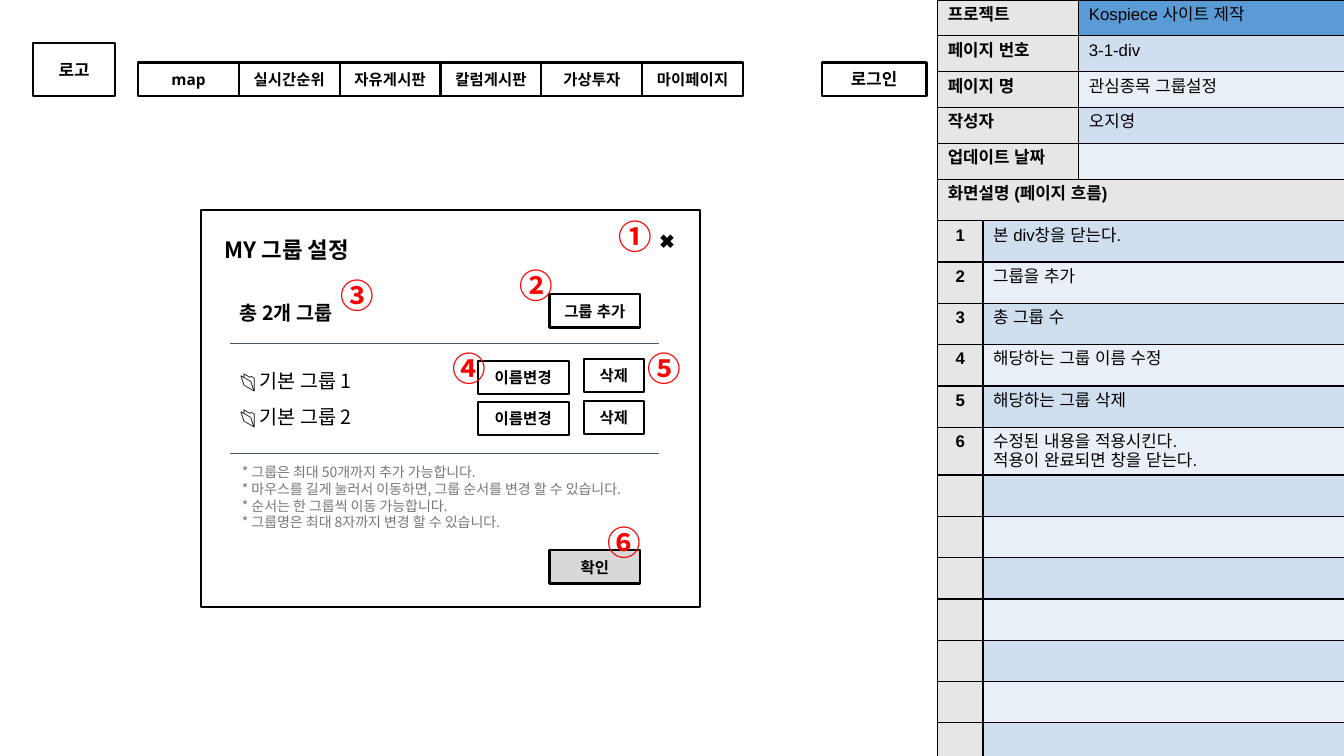
from lxml.etree import SubElement
from pptx import Presentation
from pptx.dml.color import RGBColor
from pptx.enum.shapes import MSO_CONNECTOR, MSO_SHAPE
from pptx.enum.text import MSO_ANCHOR, PP_ALIGN
from pptx.oxml.ns import qn
from pptx.util import Pt

SCALE = 9144
BLACK = RGBColor(0x00, 0x00, 0x00)
WHITE = RGBColor(0xFF, 0xFF, 0xFF)
RED = RGBColor(0xFF, 0x00, 0x00)
GRAY = RGBColor(0x77, 0x77, 0x77)
SILVER = RGBColor(0xD8, 0xD8, 0xD8)
LABEL = RGBColor(0xE7, 0xE6, 0xE6)
SLATE = RGBColor(0x44, 0x54, 0x6A)
BLUE = RGBColor(0x5B, 0x9B, 0xD5)
PALE = RGBColor(0xE9, 0xEF, 0xF7)
LIGHT = RGBColor(0xD0, 0xDE, 0xEF)
NOTO = "Noto Sans CJK KR"
SANS = "Open Sans"
ARIAL = "Arial"

MENU = ["map", "실시간순위", "자유게시판", "칼럼게시판", "가상투자", "마이페이지"]
INFO = [
    ("프로젝트", "Kospiece 사이트 제작"),
    ("페이지 번호", "3-1-div"),
    ("페이지 명", "관심종목 그룹설정"),
    ("작성자", "오지영"),
    ("업데이트 날짜", ""),
]
FLOW = [
    "본 div창을 닫는다.",
    "그룹을 추가",
    "총 그룹 수",
    "해당하는 그룹 이름 수정",
    "해당하는 그룹 삭제",
    "수정된 내용을 적용시킨다.\n적용이 완료되면 창을 닫는다.",
]
BLANKS = 7
RULES = [
    "* 그룹은 최대 50개까지 추가 가능합니다.",
    "* 마우스를 길게 눌러서 이동하면, 그룹 순서를 변경 할 수 있습니다.",
    "* 순서는 한 그룹씩 이동 가능합니다.",
    "* 그룹명은 최대 8자까지 변경 할 수 있습니다.",
]
MARKS = [
    ("①", 405, 1, 60), ("②", 306, 50, 52), ("③", 129, 60, 48),
    ("④", 240, 132, 49), ("⑤", 433, 132, 49), ("⑥", 394, 305, 49),
]


def px(*sizes):
    return [size * SCALE for size in sizes]


def style(frame, size, face, color=BLACK, bold=False, align=PP_ALIGN.LEFT):
    for para in frame.paragraphs:
        para.alignment = align
        for run in para.runs:
            font = run.font
            font.size, font.name, font.bold = Pt(size), face, bold
            font.color.rgb = color
            SubElement(font._element, qn("a:ea"), typeface=face)


def pad(frame, side, top):
    frame.margin_left = frame.margin_right = side * SCALE
    frame.margin_top = frame.margin_bottom = top * SCALE


def note(slide, box, text, size, color=BLACK, bold=False, top=10):
    frame = slide.shapes.add_textbox(*px(*box)).text_frame
    frame.word_wrap = True
    pad(frame, 10, top)
    frame.text = text
    style(frame, size, NOTO, color, bold)
    return frame


def button(slide, box, text="", size=11, fill=None):
    shape = slide.shapes.add_shape(MSO_SHAPE.RECTANGLE, *px(*box))
    shape.shadow.inherit = False
    if fill is None:
        shape.fill.background()
    else:
        shape.fill.solid()
        shape.fill.fore_color.rgb = fill
    shape.line.color.rgb = BLACK
    shape.line.width = Pt(1.5)
    if text:
        frame = shape.text_frame
        pad(frame, 10, 10)
        frame.vertical_anchor = MSO_ANCHOR.MIDDLE
        frame.text = text
        style(frame, size, SANS, bold=True, align=PP_ALIGN.CENTER)


def rule(slide, x, y, width):
    line = slide.shapes.add_connector(
        MSO_CONNECTOR.STRAIGHT, *px(x, y, x + width, y))
    line.line.color.rgb = SLATE
    line.line.width = Pt(0.75)
    SubElement(line._element.spPr, qn("a:effectLst"))


def paint(cell, text, fill, bold=False, align=PP_ALIGN.LEFT):
    props = cell._tc.get_or_add_tcPr()
    for side in ("lnL", "lnR", "lnT", "lnB"):
        edge = SubElement(props, qn(f"a:{side}"), w=str(Pt(1)))
        solid = SubElement(edge, qn("a:solidFill"))
        SubElement(solid, qn("a:srgbClr"), val=str(BLACK))
    cell.fill.solid()
    cell.fill.fore_color.rgb = fill
    pad(cell, 10, 5)
    frame = cell.text_frame
    if text:
        frame.text = text
        style(frame, 12, ARIAL, BLACK, bold, align)
    else:
        end = frame.paragraphs[0]._p.get_or_add_endParaRPr()
        end.set("sz", str(1200))


def grid(slide, x, y, cols, count, high):
    shape = slide.shapes.add_table(
        count, len(cols), *px(x, y, sum(cols), count * high))
    table = shape.table
    table.first_row = table.horz_banding = False
    for col, width in zip(table.columns, cols):
        col.width = width * SCALE
    return table


def header(slide, x, y):
    button(slide, (x, y, 81, 52), "로고", 12)
    for i, name in enumerate(MENU):
        button(slide, (x + 104 + 100 * i, y + 19, 100, 33), name)
    button(slide, (x + 782, y + 19, 104, 33), "로그인", 12)


def panel(slide, x, y):
    button(slide, (x, y, 495, 394), fill=WHITE)
    note(slide, (x + 14, y + 16, 168, 60), "MY 그룹 설정", 16, bold=True)
    note(slide, (x + 445, y + 9, 49, 43), "✖", 14)
    note(slide, (x + 29, y + 81, 159, 33), "총 2개 그룹", 14, bold=True)
    button(slide, (x + 346, y + 84, 90, 33), "그룹 추가")
    for i in range(2):
        note(slide, (x + 29, y + 148 + 36 * i, 159, 35),
             f"📂 기본 그룹 {i + 1}", 14)
        button(slide, (x + 275, y + 150 + 41 * i, 90, 33), "이름변경")
        button(slide, (x + 380, y + 148 + 42 * i, 60, 33), "삭제")
    for top in (133, 242):
        rule(slide, x + 29, y + top, 426)
    frame = note(slide, (x + 31, y + 242, 451, 107),
                 "\n".join(RULES), 10, GRAY)
    for para in frame.paragraphs:
        para.line_spacing = Pt(12)
    button(slide, (x + 346, y + 338, 90, 33), "확인", fill=SILVER)
    for mark, left, top, width in MARKS:
        note(slide, (x + left, y + top, width, 50), mark, 24, RED, True, 5)


def info(slide, x, y):
    table = grid(slide, x, y, (140, 264), len(INFO), 36)
    for i, (name, value) in enumerate(INFO):
        table.rows[i].height = 35 * SCALE + SCALE * 6 // 10
        paint(table.cell(i, 0), name, LABEL, True)
        shade = BLUE if i == 0 else LIGHT if i % 2 else PALE
        paint(table.cell(i, 1), value, shade)


def flow(slide, x, y):
    count = len(FLOW) + BLANKS
    table = grid(slide, x, y, (45, 359), count + 1, 41)
    table.cell(0, 0).merge(table.cell(0, 1))
    paint(table.cell(0, 0), "화면설명 (페이지 흐름)", LABEL, True)
    for i, text in enumerate(FLOW + [""] * BLANKS, 1):
        mark = str(i) if text else ""
        paint(table.cell(i, 0), mark, LABEL, True, PP_ALIGN.CENTER)
        paint(table.cell(i, 1), text, LIGHT if i % 2 else PALE)


def main():
    deck = Presentation()
    deck.slide_width, deck.slide_height = px(1333, 750)
    slide = deck.slides.add_slide(deck.slide_layouts[6])
    info(slide, 930, 0)
    flow(slide, 930, 178)
    panel(slide, 199, 208)
    header(slide, 33, 43)
    deck.save("out.pptx")


if __name__ == "__main__":
    main()
